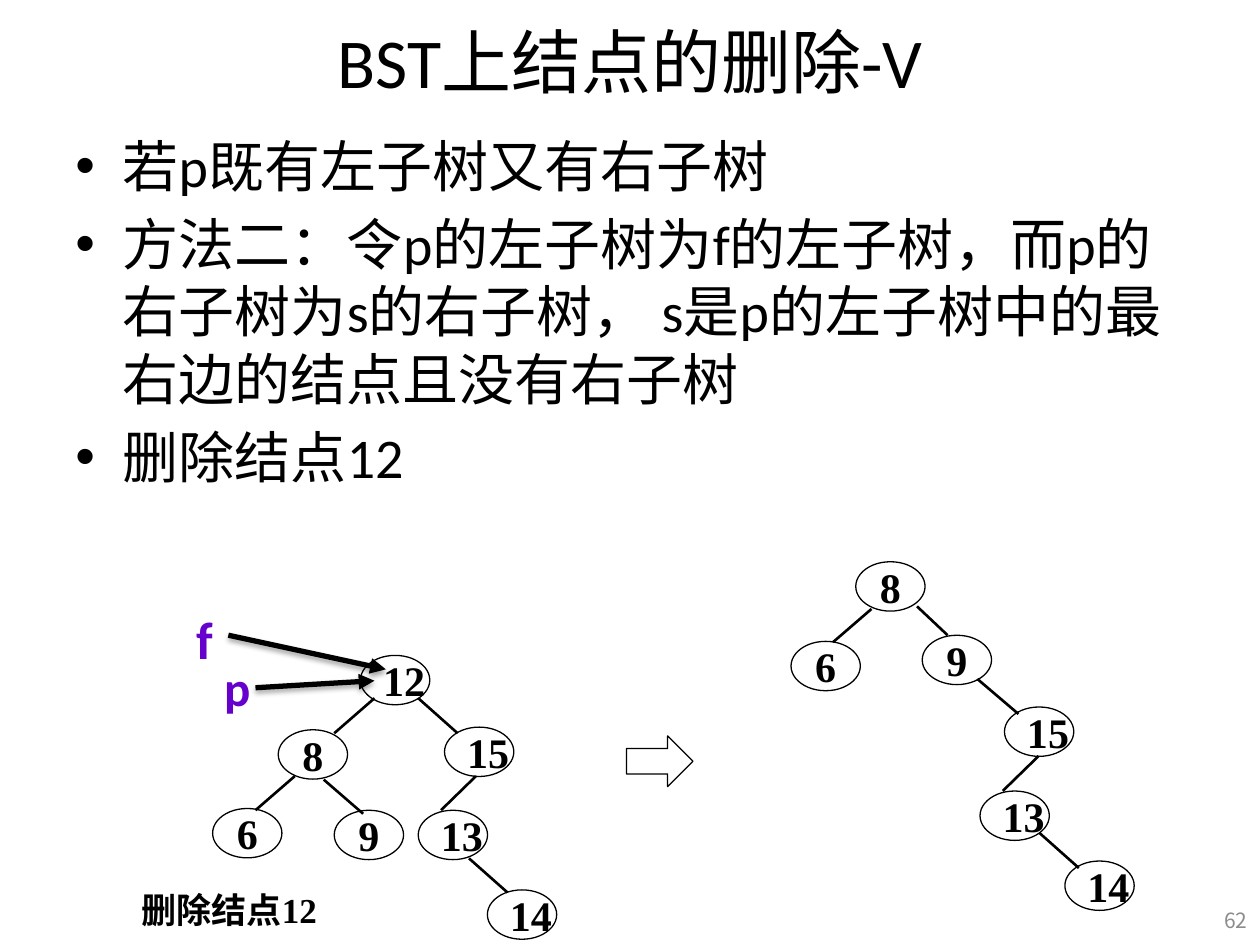
from lxml import etree
from pptx import Presentation
from pptx.dml.color import RGBColor
from pptx.enum import shapes as kinds, text as modes
from pptx.oxml.ns import qn
from pptx.util import Pt

BLACK = RGBColor(0, 0, 0)
PURPLE = RGBColor(0x66, 0x00, 0xCC)
GRAY = RGBColor(0x8C, 0x8C, 0x8C)
LEFT, CENTER, RIGHT = modes.PP_ALIGN.LEFT, modes.PP_ALIGN.CENTER, modes.PP_ALIGN.RIGHT
TOP, MIDDLE = modes.MSO_ANCHOR.TOP, modes.MSO_ANCHOR.MIDDLE
CJK_FONT = "Noto Sans CJK SC"
NODE_WIDTH, NODE_HEIGHT = 39.6, 28.2


def write(box, lines, size, name="Calibri", color=BLACK, bold=False,
          align=LEFT, anchor=TOP, wrap=False):
    frame = box.text_frame
    for key, value in {"word_wrap": wrap, "vertical_anchor": anchor}.items():
        setattr(frame, key, value)
    frame.text = "\n".join(lines)
    for para in frame.paragraphs:
        para.alignment = align
        for span in para.runs:
            for key, value in {"size": Pt(size), "name": name, "bold": bold}.items():
                setattr(span.font, key, value)
            span.font.color.rgb = color
            etree.SubElement(span.font._element, qn("a:ea"), typeface=CJK_FONT)


def connect(shapes, start, end, width):
    line = shapes.add_connector(kinds.MSO_CONNECTOR.STRAIGHT, *map(Pt, start + end))
    line.line.color.rgb = BLACK
    line.line.width = Pt(width)
    effects = etree.SubElement(line._element.spPr, qn("a:effectLst"))
    return line, effects


deck = Presentation()
deck.slide_width, deck.slide_height = Pt(720), Pt(540)
page = deck.slides.add_slide(deck.slide_layouts[5])

title = page.shapes.title
title.left, title.top, title.width, title.height = map(Pt, (36, -2, 648, 73.5))
write(title, ["BST上结点的删除-V"], 40, align=CENTER, anchor=MIDDLE, wrap=True)

body = page.shapes.add_textbox(*map(Pt, (36, 71.5, 648, 459)))
write(body, [
    "若p既有左子树又有右子树",
    "方法二：令p的左子树为f的左子树，而p的右子树为s的右子树， s是p的左子树中的最右边的结点且没有右子树",
    "删除结点12",
], 32, wrap=True)
for para in body.text_frame.paragraphs:
    para.space_before = Pt(6.4)
    props = para._p.get_or_add_pPr()
    props.set("marL", str(Pt(27)))
    props.set("indent", str(-Pt(27)))
    etree.SubElement(props, qn("a:buFont"), typeface="Arial")
    etree.SubElement(props, qn("a:buChar"), char="•")

number = page.shapes.add_textbox(*map(Pt, (689, 511, 31, 29)))
write(number, ["62"], 12, CJK_FONT, GRAY, align=RIGHT, anchor=MIDDLE, wrap=True)

before_nodes = {"12": (206, 374.5), "8": (159, 417), "6": (121.5, 462), "9": (191, 463),
                "15": (254, 415.5), "13": (239, 463), "14": (278.5, 508.5)}
before_edges = [((214, 399), (191, 419)), ((239, 399), (261.5, 419)),
                ((168.5, 443.5), (146, 463)), ((185, 445.5), (207.5, 465)),
                ((272, 443.5), (252, 463)), ((268, 490.5), (290, 510))]
after_nodes = {"8": (489, 321), "6": (452, 366.5), "9": (527, 363),
               "15": (574, 404), "13": (560, 452), "14": (608.5, 492)}
after_edges = [((498, 348), (476, 367)), ((541.5, 363), (524, 346.5)),
               ((558.5, 388), (582, 408)), ((593.5, 432), (573, 452)),
               ((594, 476), (616.5, 496))]

for nodes, edges in ((before_nodes, before_edges), (after_nodes, after_edges)):
    tree = page.shapes.add_group_shape()
    for key, (left, top) in nodes.items():
        node = tree.shapes.add_shape(kinds.MSO_SHAPE.OVAL,
                                     *map(Pt, (left, top, NODE_WIDTH, NODE_HEIGHT)))
        node.shadow.inherit = False
        node.fill.background()
        node.line.color.rgb = BLACK
        node.line.width = Pt(0.75)
        write(node, [key], 24, "Times New Roman", bold=True,
              align=CENTER if len(key) == 1 else LEFT, anchor=MIDDLE)
    for start, end in edges:
        connect(tree.shapes, start, end, 1.5)

step = page.shapes.add_shape(kinds.MSO_SHAPE.RIGHT_ARROW, *map(Pt, (358, 420.5, 38, 29)))
step.shadow.inherit = False
step.fill.background()
step.line.color.rgb = BLACK
step.line.width = Pt(0.75)

for name, size, place, start, end in (
        ("p", 28, (121, 372, 29.5, 41), (146, 393), (214, 389)),
        ("f", 30, (105, 343.5, 24.5, 44), (130.5, 363), (220.5, 382.5))):
    label = page.shapes.add_textbox(*map(Pt, place))
    write(label, [name], size, color=PURPLE, bold=True)
    pointer, effects = connect(page.shapes, start, end, 3)
    etree.SubElement(pointer.line._get_or_add_ln(), qn("a:tailEnd"), type="triangle")
    shadow = etree.SubElement(effects, qn("a:outerShdw"), blurRad=str(Pt(3.1)),
                              dist=str(Pt(1.8)), dir="5400000", rotWithShape="0")
    shade = etree.SubElement(shadow, qn("a:srgbClr"), val=str(BLACK))
    etree.SubElement(shade, qn("a:alpha"), val="35000")

caption = page.shapes.add_textbox(*map(Pt, (56, 505.5, 150, 28)))
write(caption, ["删除结点12"], 20, "Times New Roman", bold=True, align=CENTER, anchor=MIDDLE)

deck.save("out.pptx")
